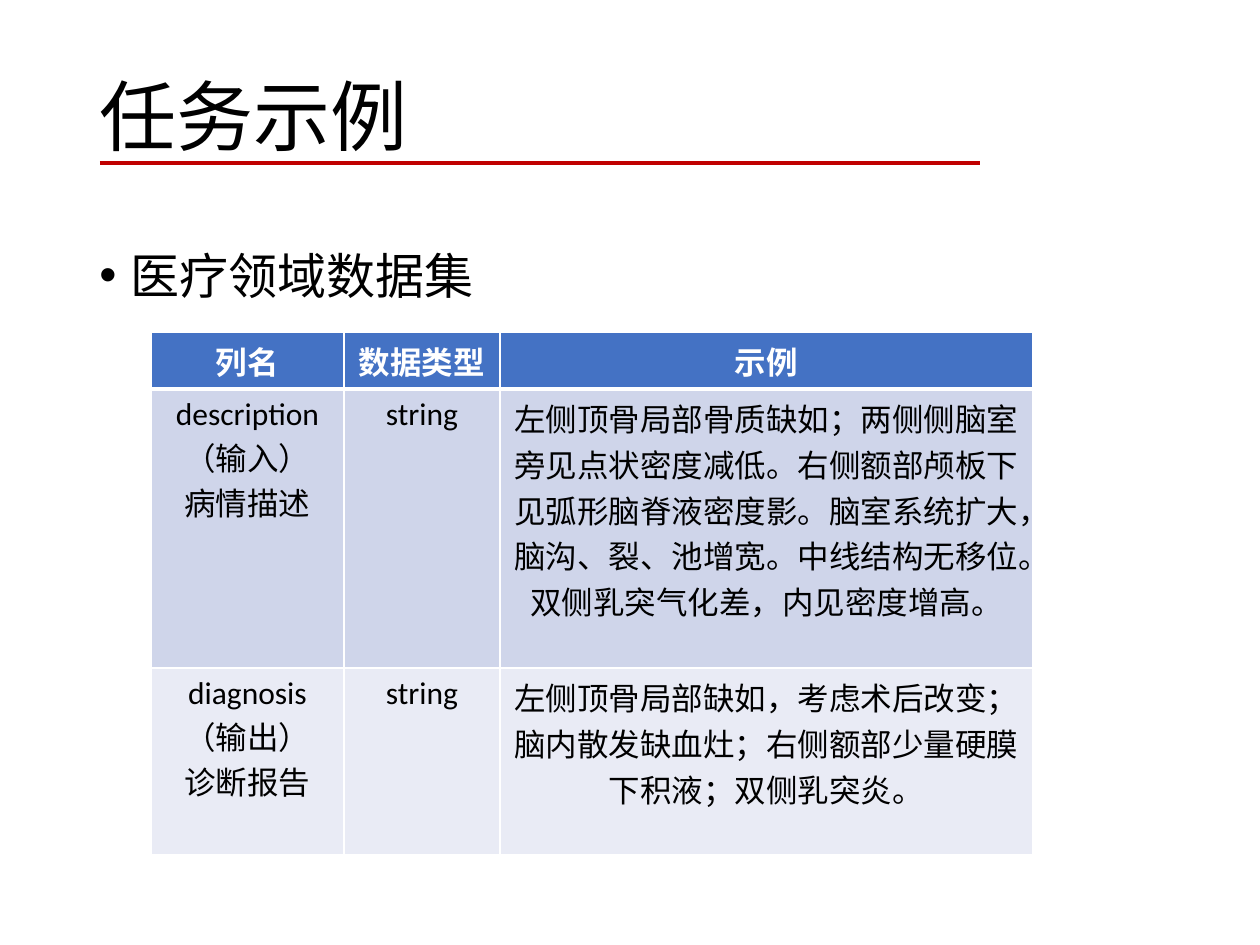
from pptx import Presentation
from pptx import util as u
from pptx.dml.color import RGBColor
from pptx.enum import shapes, text
from pptx.oxml import parse_xml
from pptx.oxml.ns import nsdecls, qn
from lxml import etree

SCALE = 914400 // 126
CJK, LATIN = "Noto Sans CJK SC", "Calibri"
HUES = {"ink": "000000", "white": "FFFFFF", "rule": "C00000",
        "head": "4472C4", "odd": "CFD5EA", "even": "E9EBF5"}
COLS = [193, 156, 533]
ROWS = [57, 279, 187]
CELLS = [
    ["列名", "数据类型", "示例"],
    ["description\n（输入）\n病情描述", "string",
     "左侧顶骨局部骨质缺如；两侧侧脑室旁见点状密度减低。右侧额部颅板下"
     "见弧形脑脊液密度影。脑室系统扩大，脑沟、裂、池增宽。中线结构无移位。"
     "双侧乳突气化差，内见密度增高。"],
    ["diagnosis\n（输出）\n诊断报告", "string",
     "左侧顶骨局部缺如，考虑术后改变；脑内散发缺血灶；右侧额部少量硬膜"
     "下积液；双侧乳突炎。"],
]


def px(n):
    return u.Emu(n * SCALE)


def rgb(name):
    return RGBColor.from_string(HUES[name])


def style(para, size, face, hue="ink", bold=False):
    font = para.font
    font.size, font.name, font.bold = u.Pt(size), face, bold
    font.color.rgb = rgb(hue)
    if face == CJK:
        # East Asian text needs its own typeface entry
        for run in para.runs:
            run.font.name = face
            props = run._r.get_or_add_rPr()
            etree.SubElement(props, qn("a:ea"), typeface=face)


def title(slide, words):
    shape = slide.shapes.title
    shape.left, shape.top, shape.width, shape.height = map(px, (87, 0, 1086, 183))
    frame = shape.text_frame
    frame.text = words
    frame.vertical_anchor = text.MSO_ANCHOR.MIDDLE
    para = frame.paragraphs[0]
    para.alignment = text.PP_ALIGN.LEFT
    para.line_spacing = 1.5
    style(para, 44, CJK)


def bullet(slide, words):
    frame = slide.shapes.add_textbox(*map(px, (87, 210, 1086, 600))).text_frame
    frame.word_wrap = True
    frame.text = words
    para = frame.paragraphs[0]
    para.line_spacing, para.space_before = 1.5, u.Pt(10)
    style(para, 28, CJK)
    props = para._p.get_or_add_pPr()
    props.set("marL", "228600")
    props.set("indent", "-228600")
    mark = (f'<a:buFont {nsdecls("a")} typeface="Arial"/>',
            f'<a:buChar {nsdecls("a")} char="•"/>')
    for at, xml in enumerate(mark):
        props.insert(2 + at, parse_xml(xml))


def border(cell, low):
    props = cell._tc.get_or_add_tcPr()
    for at, side in enumerate("LRTB"):
        width = u.Pt(low if side == "B" else 1)
        props.insert(at, parse_xml(
            f'<a:ln{side} {nsdecls("a")} w="{width}"><a:solidFill>'
            f'<a:srgbClr val="{HUES["white"]}"/></a:solidFill></a:ln{side}>'))


def table(slide):
    grid = slide.shapes.add_table(len(ROWS), len(COLS), px(151), px(332),
                                  px(sum(COLS)), px(sum(ROWS))).table
    for col, width in zip(grid.columns, COLS):
        col.width = px(width)
    for row, height, words, fill in zip(grid.rows, ROWS, CELLS,
                                        ("head", "odd", "even")):
        row.height = px(height)
        top = fill == "head"
        for cell, word in zip(row.cells, words):
            cell.text = word
            cell.fill.solid()
            cell.fill.fore_color.rgb = rgb(fill)
            border(cell, 3 if top else 1)
            for para in cell.text_frame.paragraphs:
                para.alignment = text.PP_ALIGN.CENTER
                style(para, 18, LATIN, "white" if top else "ink", top)


def rule(slide):
    line = slide.shapes.add_connector(shapes.MSO_CONNECTOR.STRAIGHT,
                                      px(100), px(163), px(980), px(163))
    line.line.color.rgb, line.line.width = rgb("rule"), u.Pt(2.25)
    etree.SubElement(line._element.spPr, qn("a:effectLst"))


def main():
    deck = Presentation()
    deck.slide_width, deck.slide_height = px(1260), px(945)
    slide = deck.slides.add_slide(deck.slide_layouts[5])
    # Heading
    title(slide, "任务示例")
    rule(slide)
    # Body
    bullet(slide, "医疗领域数据集")
    table(slide)
    deck.save("out.pptx")


main()
